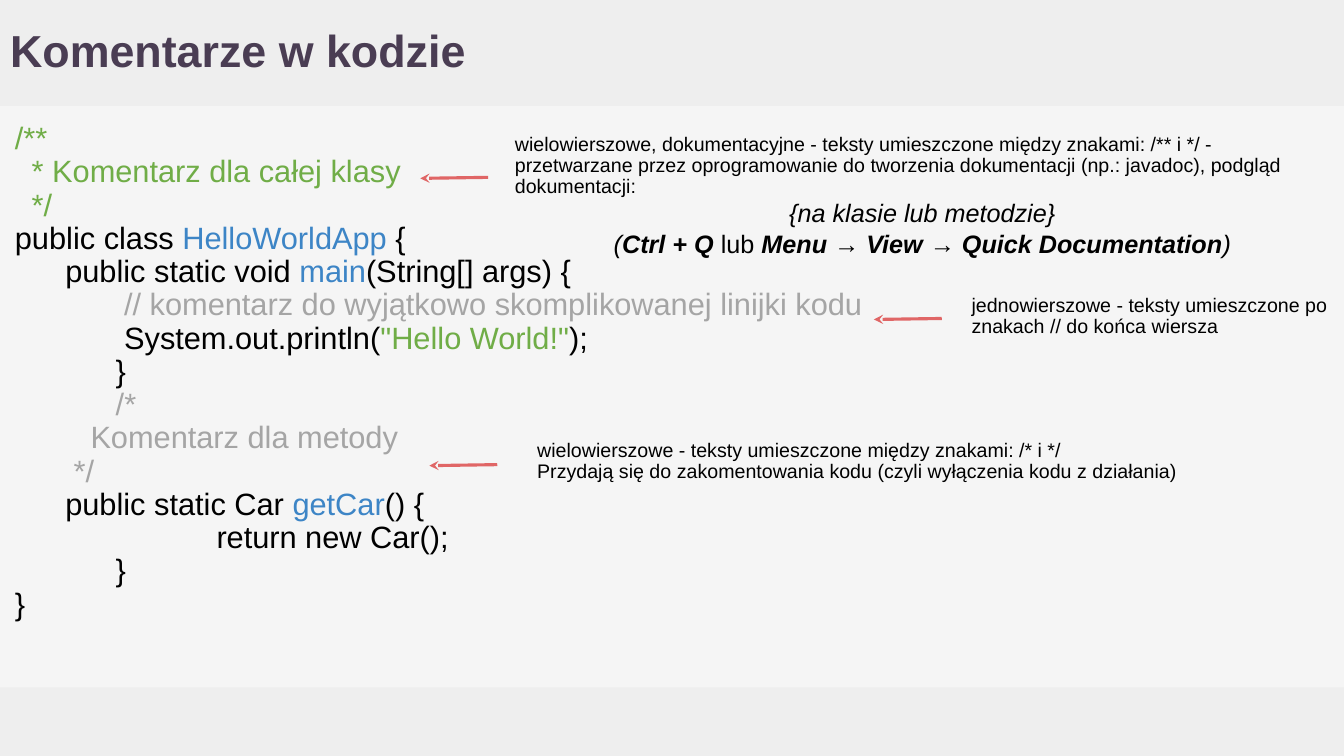
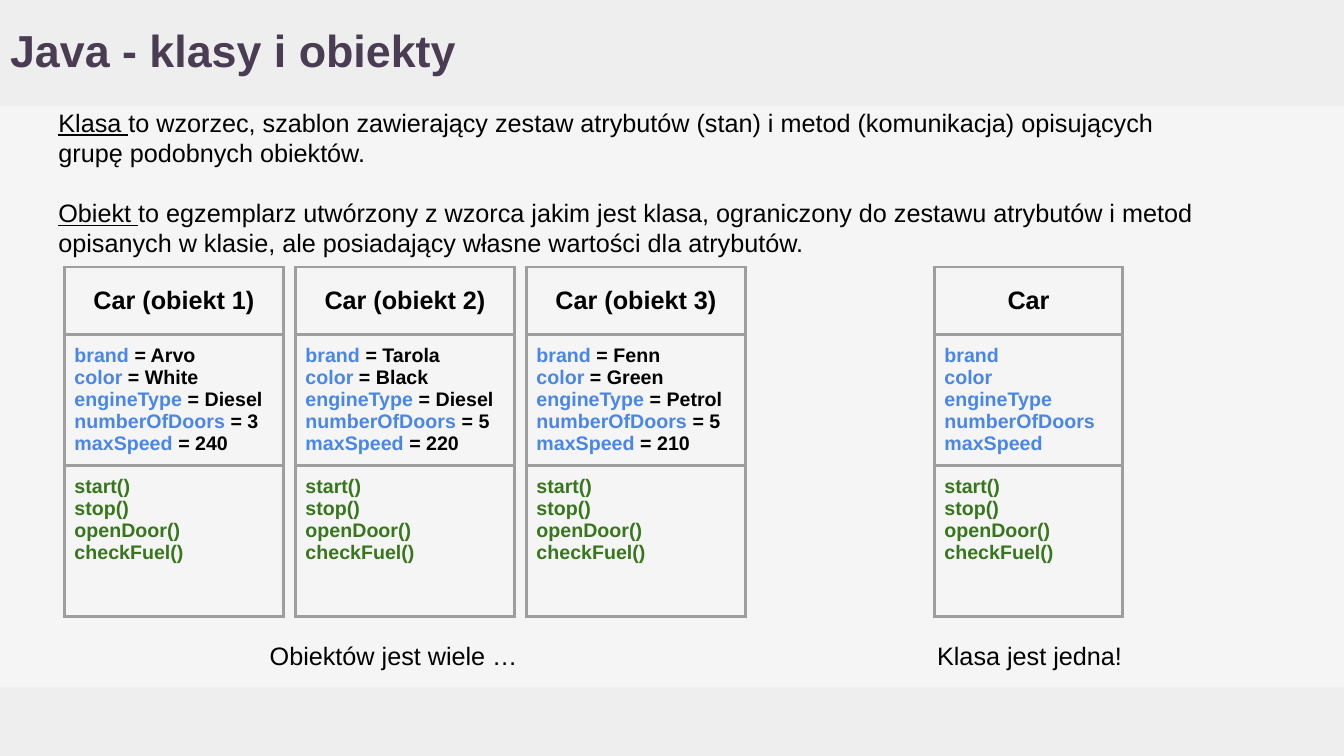
from dataclasses import dataclass

from lxml.etree import SubElement
from pptx import Presentation
from pptx.dml.color import RGBColor
from pptx.enum.shapes import MSO_CONNECTOR as Connector, MSO_SHAPE as Preset
from pptx.enum.text import MSO_ANCHOR as Anchor, PP_ALIGN as Align
from pptx.oxml.ns import qn
from pptx.util import Pt


@dataclass(frozen=True)
class Theme:
    font: str = "Arial"
    # Colours
    background: str = "F5F5F5"
    band: str = "EEEEEE"
    title: str = "4A3D53"
    text: str = "000000"
    doc: str = "70AD47"
    name: str = "3D85C6"
    comment: str = "A5A5A5"
    arrow: str = "E06666"
    border: str = "9E9E9E"
    attribute: str = "4A86E8"
    method: str = "38761D"
    # Type sizes
    title_size: float = 32
    code_size: float = 22
    body_size: float = 18
    note_size: float = 14
    # Spacing
    inset: float = 7.2
    tight: float = 0.9
    line_width: float = 2.25


THEME = Theme()
WIDTH, HEIGHT = 960, 540
TOP_BAND, BOTTOM_BAND = 75.6, 49
ATTRIBUTES = ["brand", "color", "engineType", "numberOfDoors", "maxSpeed"]
METHODS = ["start()", "stop()", "openDoor()", "checkFuel()"]


@dataclass
class Line:
    """One paragraph: runs are (text, format) pairs."""
    runs: list
    indent: float = 0
    align: Align = Align.LEFT
    spacing: float = 1.0
    before: float = 0


def rgb(color):
    return RGBColor.from_string(color)


# Text
def write_run(paragraph, text, size=THEME.body_size, color=THEME.text,
              bold=False, italic=False, underline=False):
    run = paragraph.add_run()
    run.text = text
    font = run.font
    font.name, font.size = THEME.font, Pt(size)
    font.bold, font.italic, font.underline = bold, italic, underline
    font.color.rgb = rgb(color)


def fill_frame(frame, lines, **defaults):
    frame.word_wrap = True
    for index, line in enumerate(lines):
        paragraph = frame.add_paragraph() if index else frame.paragraphs[0]
        paragraph.alignment = line.align
        paragraph.line_spacing = line.spacing
        paragraph.space_before = Pt(line.before)
        if line.indent:
            properties = paragraph._p.get_or_add_pPr()
            properties.set("marL", str(Pt(line.indent)))
            properties.set("indent", "0")
        for text, style in line.runs:
            write_run(paragraph, text, **{**defaults, **style})


def set_insets(target):
    target.margin_left = target.margin_right = Pt(THEME.inset)
    target.margin_top = target.margin_bottom = Pt(THEME.inset)


def add_text(slide, left, top, width, height, lines, **defaults):
    frame = slide.shapes.add_textbox(
        Pt(left), Pt(top), Pt(width), Pt(height)).text_frame
    set_insets(frame)
    fill_frame(frame, lines, **defaults)


def plain(text, **layout):
    return Line([(text, {})], **layout)


# Shared slide parts
def add_band(slide, layout, top, height):
    band = slide.shapes.add_shape(
        Preset.RECTANGLE, 0, Pt(top), Pt(WIDTH), Pt(height))
    band.shadow.inherit = False
    band.fill.solid()
    band.fill.fore_color.rgb = rgb(THEME.band)
    band.line.fill.background()
    layout.shapes.element.insert(2, band.element)


def prepare_layout(presentation, slide):
    """Give the layout of the slide its background and bands."""
    layout = slide.slide_layout
    fill = presentation.slide_master.background.fill
    fill.solid()
    fill.fore_color.rgb = rgb(THEME.background)
    for placeholder in list(layout.placeholders)[1:]:
        layout.shapes.element.remove(placeholder.element)
    for number, (top, height) in enumerate(
            [(0, TOP_BAND), (HEIGHT - BOTTOM_BAND, BOTTOM_BAND)]):
        add_band(slide, layout, top, height)
        layout.shapes[0]._element.nvSpPr.cNvPr.set("id", str(10 + number))


def add_titled_slide(presentation, text):
    slide = presentation.slides.add_slide(presentation.slide_layouts[5])
    title = slide.shapes.title
    title.left, title.top = Pt(0), Pt(0)
    title.width, title.height = Pt(858), Pt(TOP_BAND)
    frame = title.text_frame
    frame.vertical_anchor = Anchor.MIDDLE
    set_insets(frame)
    fill_frame(frame, [plain(text, spacing=THEME.tight)],
               size=THEME.title_size, color=THEME.title, bold=True)
    return slide


# Arrows and tables
def add_arrow(slide, left, top):
    """A short arrow that points left, at (left, top)."""
    arrow = slide.shapes.add_connector(
        Connector.STRAIGHT, Pt(left), Pt(top), Pt(left + 48.5), Pt(top - 0.7))
    arrow.line.color.rgb = rgb(THEME.arrow)
    arrow.line.width = Pt(THEME.line_width)
    SubElement(arrow.line._get_or_add_ln(), qn("a:headEnd"), type="stealth")
    SubElement(arrow._element.spPr, qn("a:effectLst"))


def set_borders(cell):
    properties = cell._tc.get_or_add_tcPr()
    for index, side in enumerate(["lnL", "lnR", "lnT", "lnB"]):
        border = properties.makeelement(
            qn("a:" + side), {"w": str(Pt(THEME.line_width))})
        fill = SubElement(border, qn("a:solidFill"))
        SubElement(fill, qn("a:srgbClr"), val=THEME.border)
        properties.insert(index, border)


def add_class_table(slide, left, width, heading, values=()):
    """A class diagram; with values it shows one object of the class."""
    heights = [48.2, 93.6, 108]
    table = slide.shapes.add_table(
        3, 1, Pt(left), Pt(190.8), Pt(width), Pt(sum(heights))).table
    table.first_row = table.horz_banding = False
    attributes = [Line([(name, {"color": THEME.attribute})])
                  for name in ATTRIBUTES]
    for line, value in zip(attributes, values):
        line.runs.append((f" = {value}", {}))
    contents = [
        ([plain(heading, align=Align.CENTER)], {}),
        (attributes, {"size": THEME.note_size}),
        ([plain(name) for name in METHODS],
         {"size": THEME.note_size, "color": THEME.method}),
    ]
    for row, (height, (lines, style)) in enumerate(zip(heights, contents)):
        table.rows[row].height = Pt(height)
        cell = table.cell(row, 0)
        cell.fill.background()
        cell.vertical_anchor = Anchor.TOP if row else Anchor.MIDDLE
        set_insets(cell)
        set_borders(cell)
        fill_frame(cell.text_frame, lines, bold=True, **style)


# Slides
def fill_comments_slide(slide):
    doc, name, comment = ({"color": color} for color in
                          (THEME.doc, THEME.name, THEME.comment))
    code = [
        (0, [("/**", doc)]),
        (12, [("* Komentarz dla całej klasy", doc)]),
        (12, [("*/", doc)]),
        (0, [("public class ", {}), ("HelloWorldApp ", name), ("{", {})]),
        (36, [("public static void ", {}), ("main", name),
              ("(String[] args) {", {})]),
        (78, [("// komentarz do wyjątkowo skomplikowanej linijki kodu",
               comment)]),
        (78, [("System.out.println(", {}), ('"Hello World!"', doc),
              (");", {})]),
        (72, [("}", {})]),
        (72, [("/*", comment)]),
        (54, [("Komentarz dla metody", comment)]),
        (42, [("*/", comment)]),
        (36, [("public static Car ", {}), ("getCar", name), ("() {", {})]),
        (144, [("return new Car();", {})]),
        (72, [("}", {})]),
        (0, [("}", {})]),
    ]
    add_text(slide, 3.6, 80.6, 953, 214.6,
             [Line(runs, indent=indent, spacing=THEME.tight)
              for indent, runs in code], size=THEME.code_size)

    # Notes beside the code
    body, strong = {"size": THEME.body_size}, {"bold": True, "italic": True}
    shortcut = [("(", {"italic": True}), ("Ctrl + Q ", strong), ("lub ", {}),
                ("Menu → View → Quick Documentation", strong),
                (")", {"italic": True})]
    notes = [
        (686.9, 203.8, 278.6, 48.2, [plain(
            "jednowierszowe - teksty umieszczone po znakach // "
            "do końca wiersza", spacing=THEME.tight)]),
        (360.7, 88.6, 596.2, 66.2, [
            plain("wielowierszowe, dokumentacyjne - teksty umieszczone między "
                  "znakami: /** i */ - przetwarzane przez oprogramowanie do "
                  "tworzenia dokumentacji (np.: javadoc), podgląd "
                  "dokumentacji:", spacing=THEME.tight),
            Line([("{na klasie lub metodzie}", {**body, "italic": True})],
                 align=Align.CENTER),
            Line([(text, {**body, **style}) for text, style in shortcut],
                 align=Align.CENTER)]),
        (376.6, 307.4, 475.9, 25.2, [
            plain("wielowierszowe - teksty umieszczone między znakami: "
                  "/* i */", spacing=THEME.tight),
            plain("Przydają się do zakomentowania kodu (czyli wyłączenia kodu "
                  "z działania)", spacing=THEME.tight)]),
    ]
    for left, top, width, height, lines in notes:
        add_text(slide, left, top, width, height, lines, size=THEME.note_size)
    for left, top in [(300.2, 127.4), (624.2, 228.2), (306.7, 332.6)]:
        add_arrow(slide, left, top)


def fill_classes_slide(slide):
    # Objects and their class
    objects = [
        ("Arvo", "White", "Diesel", 3, 240),
        ("Tarola", "Black", "Diesel", 5, 220),
        ("Fenn", "Green", "Petrol", 5, 210),
    ]
    for index, values in enumerate(objects):
        add_class_table(slide, 46 + 165 * index, 156.6,
                        f"Car (obiekt {index + 1})", values)
    add_class_table(slide, 667.4, 134.6, "Car")

    # Definitions
    underlined = {"underline": True}
    add_text(slide, 34.6, 69.1, 830, 61.2, [
        Line([("Klasa ", underlined),
              ("to wzorzec, szablon zawierający zestaw atrybutów (stan) i "
               "metod (komunikacja) opisujących grupę podobnych obiektów.",
               {})]),
        Line([("Obiekt ", underlined),
              ("to egzemplarz utwórzony z wzorca jakim jest klasa, "
               "ograniczony do zestawu atrybutów i metod opisanych w klasie, "
               "ale posiadający własne wartości dla atrybutów.", {})],
             before=21.6)])

    # Captions
    for left, width, height, text in [
            (49, 469.4, 28, "Obiektów jest wiele … "),
            (640, 190.8, 22.3, "Klasa jest jedna!")]:
        add_text(slide, left, 450, width, height,
                 [plain(text, align=Align.CENTER)])


def main():
    presentation = Presentation()
    presentation.slide_width, presentation.slide_height = Pt(WIDTH), Pt(HEIGHT)
    comments = add_titled_slide(presentation, "Komentarze w kodzie")
    prepare_layout(presentation, comments)
    fill_comments_slide(comments)
    fill_classes_slide(
        add_titled_slide(presentation, "Java - klasy i obiekty"))
    presentation.save("out.pptx")


if __name__ == "__main__":
    main()
